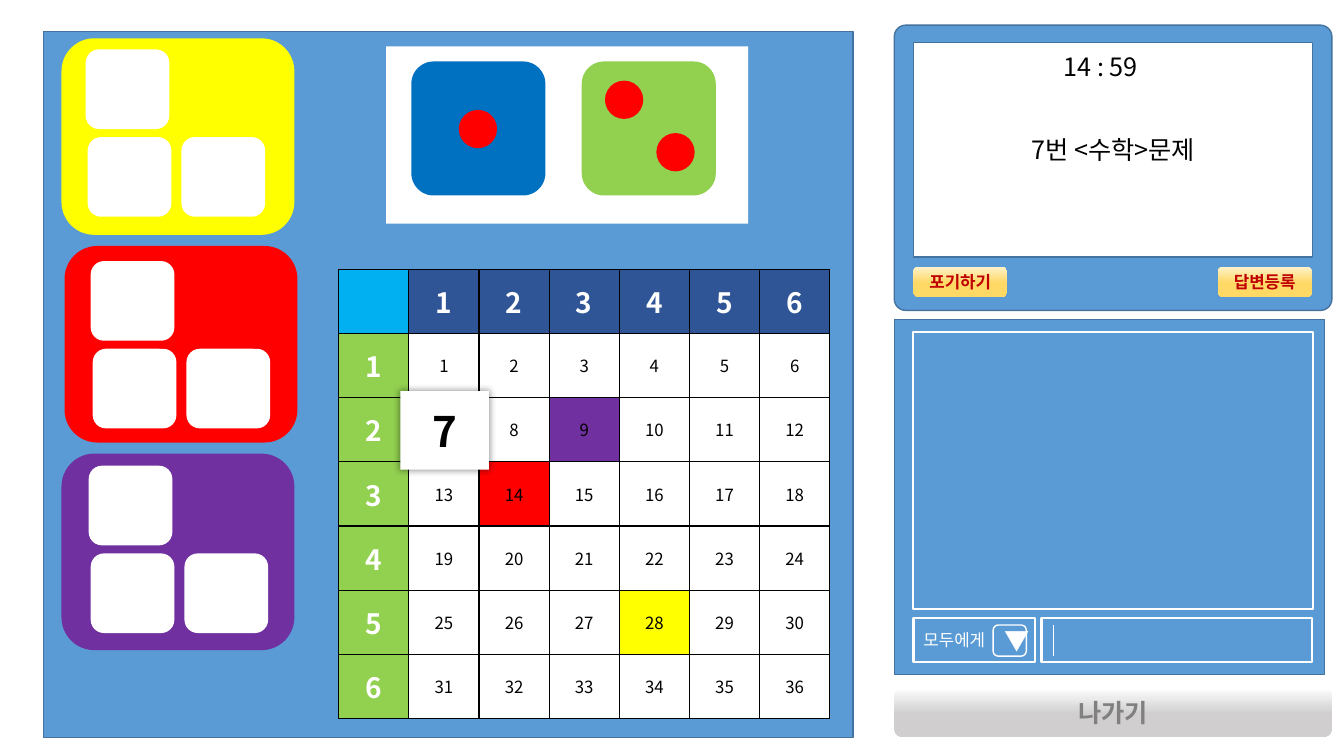
from dataclasses import dataclass
from typing import Any

import lxml.etree
import pptx
import pptx.dml.color
import pptx.enum.shapes
import pptx.enum.text
import pptx.oxml.ns
import pptx.util

# The slide is a fine grid of square cells
COLUMNS, ROWS = 1333, 750
CELL = pptx.util.Inches(0.01)
FONT = "Noto Sans CJK KR"
COLORS = {
    "white": "FFFFFF", "black": "000000", "panel": "5B9BD5", "edge": "43739E",
    "yellow": "FFFF00", "red": "FF0000", "purple": "7030A0", "green": "92D050",
    "blue": "0070C0", "sky": "00B0F0", "navy": "2F5597", "crimson": "C00000",
    "cream": "FFF2CC", "gold": "FFD966", "silver": "D0CECE", "gray": "808080",
}
RECT = pptx.enum.shapes.MSO_SHAPE.RECTANGLE
ROUND = pptx.enum.shapes.MSO_SHAPE.ROUNDED_RECTANGLE
OVAL = pptx.enum.shapes.MSO_SHAPE.OVAL
LEFT = pptx.enum.text.PP_ALIGN.LEFT
CENTER = pptx.enum.text.PP_ALIGN.CENTER


@dataclass(frozen=True)
class Label:
    words: str
    size: int = 12
    color: str = "black"
    bold: bool = False
    align: Any = CENTER


@dataclass(frozen=True)
class Part:
    """A shape placed by column, row, width and height in grid cells."""
    column: float
    row: float
    width: float
    height: float
    fill: str = "white"
    outline: str = ""
    weight: float = 1
    kind: Any = RECT
    label: Label | None = None
    fade_to: str = ""
    corner: float | None = None


@dataclass(frozen=True)
class Card:
    color: str
    column: int
    row: int
    slot_column: int
    slot_row: int


@dataclass(frozen=True)
class Die:
    column: int
    color: str
    pips: tuple[tuple[int, int], ...]


def rgb(color: str) -> pptx.dml.color.RGBColor:
    return pptx.dml.color.RGBColor.from_string(COLORS[color])


def cells(*counts: float) -> list[int]:
    return [round(count * CELL) for count in counts]


def child(parent: Any, tag: str, **attributes: str) -> Any:
    return lxml.etree.SubElement(parent, pptx.oxml.ns.qn(tag), attributes)


def write(frame: Any, label: Label) -> None:
    frame.vertical_anchor = pptx.enum.text.MSO_ANCHOR.MIDDLE
    paragraph = frame.paragraphs[0]
    paragraph.text = label.words
    paragraph.alignment = label.align
    font = paragraph.font
    font.size = pptx.util.Pt(label.size)
    font.bold = label.bold
    font.name = FONT
    font.color.rgb = rgb(label.color)
    defaults = paragraph._p.pPr.find(pptx.oxml.ns.qn("a:defRPr"))
    child(defaults, "a:ea", typeface=FONT)


def draw(shapes: Any, part: Part) -> Any:
    shape = shapes.add_shape(part.kind, *cells(part.column, part.row, part.width, part.height))
    shape.shadow.inherit = False
    if part.corner is not None:
        shape.adjustments[0] = part.corner
    if part.fade_to:
        shape.fill.gradient()
        shape.fill.gradient_angle = 270
        stops = zip(shape.fill.gradient_stops, (part.fill, part.fade_to), (0, 0.54))
        for stop, color, position in stops:
            stop.color.rgb = rgb(color)
            stop.position = position
    else:
        shape.fill.solid()
        shape.fill.fore_color.rgb = rgb(part.fill)
    if part.outline:
        shape.line.color.rgb = rgb(part.outline)
        shape.line.width = pptx.util.Pt(part.weight)
    else:
        shape.line.fill.background()
    if part.label:
        write(shape.text_frame, part.label)
    return shape


def draw_card(shapes: Any, card: Card) -> None:
    draw(shapes, Part(card.column, card.row, 231, 195, card.color, kind=ROUND))
    for across, down in ((0, 0), (95, 87), (2, 87)):
        draw(shapes, Part(card.slot_column + across, card.slot_row + down, 83, 79, kind=ROUND))


def draw_die(shapes: Any, die: Die) -> None:
    group = shapes.add_group_shape().shapes
    draw(group, Part(die.column, 61, 133, 133, die.color, kind=ROUND))
    for across, down in die.pips:
        draw(group, Part(die.column + across, 61 + down, 38, 38, "red", kind=OVAL))


def draw_chat(shapes: Any) -> None:
    group = shapes.add_group_shape().shapes
    receiver = Label("모두에게", color="white", align=LEFT)
    arrow = Label("▼", 18, "white")
    for part in (
        Part(887, 317, 427, 352, "panel", "edge"),
        Part(906, 329, 396, 275, "panel", "white", 1.5),
        Part(1033, 613, 268, 44, "panel", "white", 1.5),
        Part(906, 613, 121, 44, "panel", "white", 1.5, label=receiver),
        Part(985, 620, 33, 31, "panel", "white", kind=ROUND, label=arrow),
    ):
        draw(group, part)


def draw_number_board(shapes: Any) -> None:
    side = 7
    chosen = {9: "purple", 14: "red", 28: "yellow"}
    board = shapes.add_table(side, side, *cells(336, 267, 487, 446)).table
    board.first_row = board.horz_banding = False
    for row in range(side):
        board.rows[row].height = round(446 * CELL / side)
        board.columns[row].width = round(487 * CELL / side)
        for column in range(side):
            square = board.cell(row, column)
            if row and column:
                number = (row - 1) * 6 + column
                fill = chosen.get(number, "white")
                write(square.text_frame, Label(str(number)))
            else:
                fill = "navy" if column else "green" if row else "sky"
                if row or column:
                    write(square.text_frame, Label(str(row or column), 20, "white", True))
            square.vertical_anchor = pptx.enum.text.MSO_ANCHOR.MIDDLE
            properties = square._tc.get_or_add_tcPr()
            for edge in ("a:lnL", "a:lnR", "a:lnT", "a:lnB"):
                border = child(properties, edge, w=str(pptx.util.Pt(1)))
                child(child(border, "a:solidFill"), "a:srgbClr", val=COLORS["black"])
            square.fill.solid()
            square.fill.fore_color.rgb = rgb(fill)


def add_glow(shape: Any) -> None:
    effects = shape._element.spPr.find(pptx.oxml.ns.qn("a:effectLst"))
    glow = child(effects, "a:outerShdw", blurRad=str(pptx.util.Pt(5)), sx="102000",
                 sy="102000", algn="ctr", rotWithShape="0")
    child(child(glow, "a:srgbClr", val=COLORS["black"]), "a:alpha", val="40000")


def main() -> None:
    deck = pptx.Presentation()
    deck.slide_width, deck.slide_height = cells(COLUMNS, ROWS)
    shapes = deck.slides.add_slide(deck.slide_layouts[6]).shapes

    # Chat panel with its typing caret
    draw_chat(shapes)
    caret = shapes.add_connector(pptx.enum.shapes.MSO_CONNECTOR.STRAIGHT, *cells(1045, 620, 1045, 651))
    caret.line.color.rgb = rgb("white")
    caret.line.width = pptx.util.Pt(0.5)
    child(caret._element.spPr, "a:effectLst")

    # Game board: player cards, numbers and dice
    draw(shapes, Part(43, 31, 803, 701, "panel", "edge"))
    for card in (Card("yellow", 61, 38, 85, 49), Card("red", 64, 244, 90, 259),
                 Card("purple", 61, 450, 88, 462)):
        draw_card(shapes, card)
    draw_number_board(shapes)
    draw(shapes, Part(383, 46, 359, 176))
    for die in (Die(408, "blue", ((47, 48),)), Die(577, "green", ((23, 19), (74, 71)))):
        draw_die(shapes, die)

    # Question panel, its buttons and the exit button
    draw(shapes, Part(887, 25, 434, 283, "panel", "edge", kind=ROUND, corner=0.04))
    draw(shapes, Part(906, 42, 396, 213, outline="edge", label=Label("7번 <수학>문제", 18)))
    for column, words in ((906, "포기하기"), (1208, "답변등록")):
        draw(shapes, Part(column, 264.5, 93, 30, "cream", kind=ROUND, fade_to="gold",
                          label=Label(words, 12, "crimson", True)))
    draw(shapes, Part(887, 682, 434, 49, kind=ROUND, fade_to="silver",
                      label=Label("나가기", 18, "gray", True)))
    timer = shapes.add_textbox(*cells(1045, 46, 100, 40)).text_frame
    timer.word_wrap = False
    timer.auto_size = pptx.enum.text.MSO_AUTO_SIZE.SHAPE_TO_FIT_TEXT
    write(timer, Label("14 : 59", 18, align=LEFT))

    # Raised square of the rolled number
    add_glow(draw(shapes, Part(397, 388, 88, 78, label=Label("7", 30, bold=True))))
    deck.save("out.pptx")


if __name__ == "__main__":
    main()
